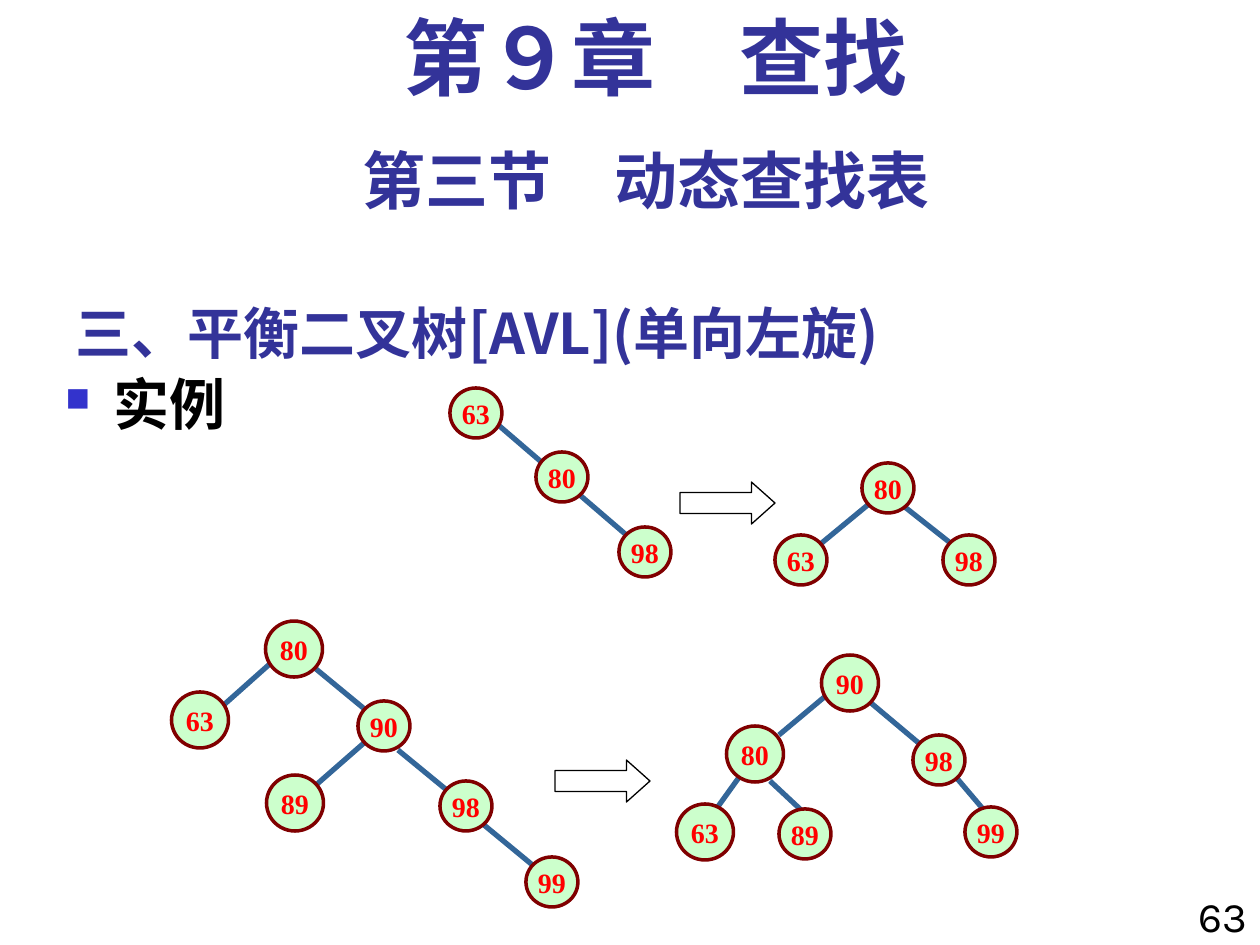
from lxml.etree import SubElement
from pptx import Presentation
from pptx.dml.color import RGBColor
from pptx.enum.shapes import MSO_CONNECTOR, MSO_SHAPE
from pptx.enum.text import MSO_ANCHOR, MSO_AUTO_SIZE, PP_ALIGN
from pptx.oxml.ns import qn
from pptx.util import Emu, Pt

SCALE = 914400 / 126
COLORS = {
    "heading": "333399",
    "text": "000000",
    "bullet": "3333CC",
    "edge": "336699",
    "node": "CCFFCC",
    "ring": "800000",
    "key": "FF0000",
}
CJK_FONT = "Noto Sans CJK SC"
LARGE = (57, 56)
SMALL = (52, 50)

TREES = [
    {
        "nodes": [("63", 476, 413, SMALL), ("80", 562, 477, SMALL), ("98", 645, 552, SMALL)],
        "edges": [(496, 423, 631, 539)],
    },
    {
        "nodes": [("80", 888, 488, SMALL), ("63", 801, 560, SMALL), ("98", 969, 560, SMALL)],
        "edges": [(869, 504, 806, 556), (901, 504, 958, 549)],
    },
    {
        "nodes": [
            ("80", 294, 649, LARGE),
            ("63", 200, 720, LARGE),
            ("90", 384, 726, SMALL),
            ("89", 295, 803, LARGE),
            ("98", 466, 806, SMALL),
            ("99", 552, 882, SMALL),
        ],
        "edges": [
            (272, 662, 217, 711),
            (316, 669, 373, 716),
            (372, 736, 316, 785),
            (398, 750, 454, 796),
            (484, 825, 541, 872),
        ],
    },
    {
        "nodes": [
            ("90", 850, 683, LARGE),
            ("80", 755, 754, LARGE),
            ("98", 939, 760, SMALL),
            ("63", 705, 832, LARGE),
            ("89", 805, 834, SMALL),
            ("99", 991, 832, SMALL),
        ],
        "edges": [
            (828, 694, 779, 735),
            (871, 703, 927, 750),
            (740, 776, 717, 808),
            (770, 781, 815, 823),
            (955, 776, 983, 809),
        ],
    },
]
ARROWS = [(680, 482), (555, 760)]


def px(*lengths):
    return [Emu(round(length * SCALE)) for length in lengths]


def color(name):
    return RGBColor.from_string(COLORS[name])


def format_paragraph(paragraph, size, font_name, color_name, bold, alignment):
    paragraph.alignment = alignment
    font = paragraph.font
    font.size = Pt(size)
    font.bold = bold
    font.color.rgb = color(color_name)
    font.name = font_name
    SubElement(font._element, qn("a:ea"), typeface=CJK_FONT)


def add_bullet(paragraph):
    properties = paragraph._p.get_or_add_pPr()
    indent = px(48)[0]
    properties.set("marL", str(indent))
    properties.set("indent", str(-indent))
    bullet_color = SubElement(properties, qn("a:buClr"))
    SubElement(bullet_color, qn("a:srgbClr"), val=COLORS["bullet"])
    SubElement(properties, qn("a:buSzPct"), val="60000")
    SubElement(properties, qn("a:buChar"), char="■")


def add_text(slide, text, box, size, font_name, alignment,
             color_name="heading", bold=True, spacing=1.0, bullet=False):
    shape = slide.shapes.add_textbox(*px(*box))
    frame = shape.text_frame
    frame.word_wrap = True
    frame.margin_top = 0
    frame.text = text
    paragraph = frame.paragraphs[0]
    paragraph.line_spacing = spacing
    if bullet:
        add_bullet(paragraph)
    format_paragraph(paragraph, size, font_name, color_name, bold, alignment)


def set_title(slide, text):
    title = slide.shapes.title
    title.left, title.top, title.width, title.height = px(63, 273, 861, 95)
    frame = title.text_frame
    frame.word_wrap = True
    frame.auto_size = MSO_AUTO_SIZE.NONE
    frame.vertical_anchor = MSO_ANCHOR.BOTTOM
    frame.margin_bottom = px(2)[0]
    frame.text = text
    paragraph = frame.paragraphs[0]
    paragraph.line_spacing = 0.84
    format_paragraph(paragraph, 32, CJK_FONT, "heading", True, PP_ALIGN.LEFT)


def add_edge(slide, ends):
    edge = slide.shapes.add_connector(MSO_CONNECTOR.STRAIGHT, *px(*ends))
    edge.line.color.rgb = color("edge")
    edge.line.width = Pt(3)
    SubElement(edge._element.spPr, qn("a:effectLst"))


def add_node(slide, key, center_x, center_y, size):
    width, height = size
    node = slide.shapes.add_shape(
        MSO_SHAPE.OVAL,
        *px(center_x - width / 2, center_y - height / 2, width, height),
    )
    node.shadow.inherit = False
    node.fill.solid()
    node.fill.fore_color.rgb = color("node")
    node.line.color.rgb = color("ring")
    node.line.width = Pt(2)
    frame = node.text_frame
    frame.word_wrap = False
    frame.vertical_anchor = MSO_ANCHOR.MIDDLE
    frame.text = key
    format_paragraph(frame.paragraphs[0], 16, "Times New Roman", "key", True, PP_ALIGN.CENTER)


def add_tree(slide, tree):
    for ends in tree["edges"]:
        add_edge(slide, ends)
    for node in tree["nodes"]:
        add_node(slide, *node)


def add_arrow(slide, left, top):
    arrow = slide.shapes.add_shape(MSO_SHAPE.RIGHT_ARROW, *px(left, top, 95, 42))
    arrow.adjustments[1] = 0.56
    arrow.shadow.inherit = False
    arrow.fill.background()
    arrow.line.color.rgb = color("text")
    arrow.line.width = Pt(0.75)


def main():
    presentation = Presentation()
    presentation.slide_width, presentation.slide_height = px(1260, 945)
    slide = presentation.slides.add_slide(presentation.slide_layouts[5])
    set_title(slide, "三、平衡二叉树[AVL](单向左旋)")
    add_text(slide, "第９章　查找", (84, 21, 1144, 105), 48, "Times New Roman",
             PP_ALIGN.CENTER, spacing=0.85)
    add_text(slide, "第三节　动态查找表", (63, 147, 1166, 88), 36, "Karla",
             PP_ALIGN.CENTER, spacing=0.96)
    add_text(slide, "实例", (53, 378, 249, 89), 32, CJK_FONT, PP_ALIGN.LEFT,
             color_name="text", spacing=0.88, bullet=True)
    add_text(slide, "63", (1176, 890, 84, 55), 24, "Karla", PP_ALIGN.RIGHT,
             color_name="text", bold=False)
    for tree in TREES:
        add_tree(slide, tree)
    for left, top in ARROWS:
        add_arrow(slide, left, top)
    presentation.save("out.pptx")


if __name__ == "__main__":
    main()
